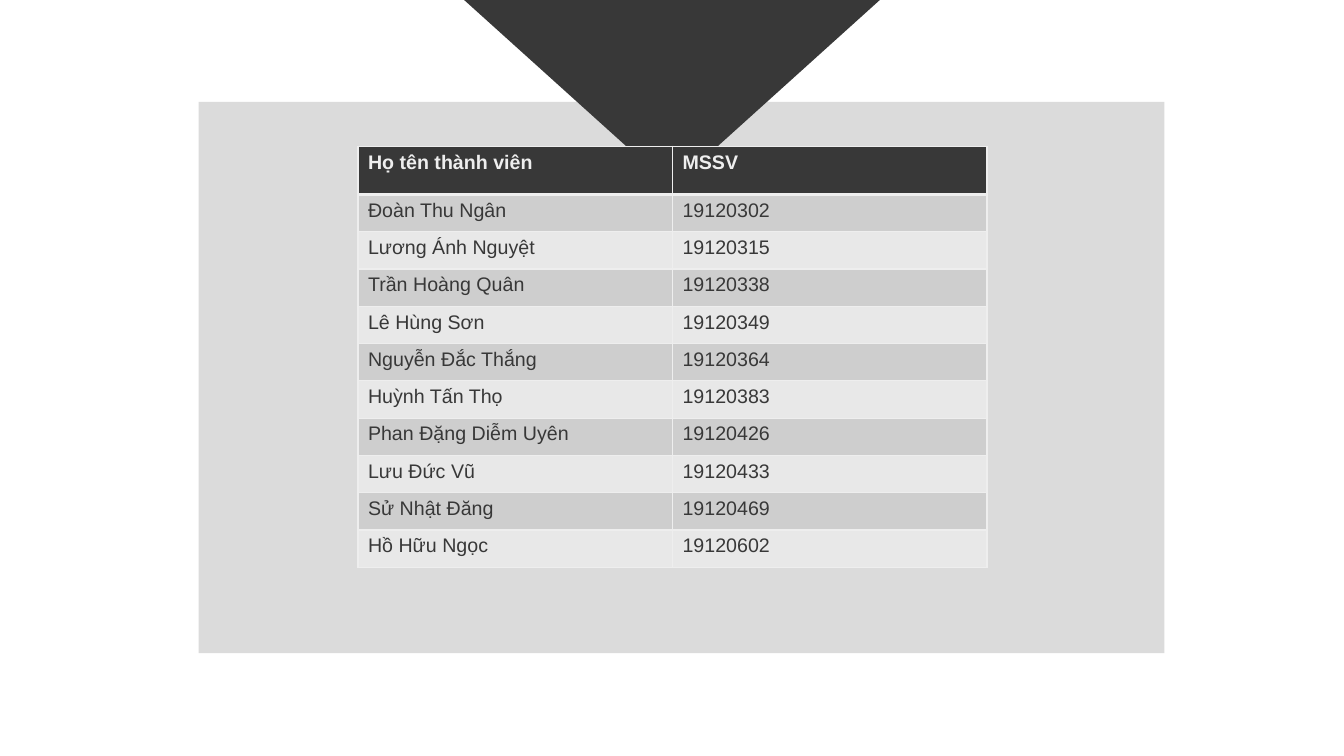
import pptx
import pptx.dml.color
import pptx.enum.shapes
import pptx.oxml
import pptx.oxml.ns
import pptx.util
from pptx.util import Inches

DARK, PANEL, LIGHT = "383838", "DBDBDB", "EEEEEE"
BANDS = ("CECECE", "E8E8E8")
HEADER = ("Họ tên thành viên", "MSSV")
MEMBERS = [
    ("Đoàn Thu Ngân", "19120302"),
    ("Lương Ánh Nguyệt", "19120315"),
    ("Trần Hoàng Quân", "19120338"),
    ("Lê Hùng Sơn", "19120349"),
    ("Nguyễn Đắc Thắng", "19120364"),
    ("Huỳnh Tấn Thọ", "19120383"),
    ("Phan Đặng Diễm Uyên", "19120426"),
    ("Lưu Đức Vũ", "19120433"),
    ("Sử Nhật Đăng", "19120469"),
    ("Hồ Hữu Ngọc", "19120602"),
]


def rgb(color):
    return pptx.dml.color.RGBColor.from_string(color)


def add_block(s, kind, box, color, rotation=0):
    """Add a plain filled shape without outline or shadow."""
    sp = s.shapes.add_shape(kind, *map(Inches, box))
    sp.rotation = rotation
    sp.shadow.inherit = False
    sp.fill.solid()
    sp.fill.fore_color.rgb = rgb(color)
    sp.line.fill.background()


def set_borders(cell, color, **widths):
    """Draw cell borders; widths in points are keyed L, R, T, B, in that order."""
    tc_pr = cell._tc.get_or_add_tcPr()
    for side, width in widths.items():
        tc_pr.append(pptx.oxml.parse_xml(
            f'<a:ln{side} {pptx.oxml.ns.nsdecls("a")} w="{pptx.util.Pt(width)}">'
            f'<a:solidFill><a:srgbClr val="{color}"/></a:solidFill></a:ln{side}>'))


def add_backdrop(s, box):
    left, top, width, height = box
    shapes = pptx.enum.shapes.MSO_SHAPE
    add_block(s, shapes.RECTANGLE, box, PANEL)
    add_block(s, shapes.ISOSCELES_TRIANGLE,
              (left + 2.6, top - 1.04, 4.19, 1.89), DARK, rotation=180)


def add_member_table(s, box, header_height=0.48):
    rows = [HEADER, *MEMBERS]
    table = s.shapes.add_table(len(rows), len(HEADER), *map(Inches, box)).table
    row_height = (box[3] - header_height) / len(MEMBERS)
    for column in table.columns:
        column.width = Inches(box[2] / len(HEADER))
    for i, values in enumerate(rows):
        is_header = i == 0
        table.rows[i].height = Inches(header_height if is_header else row_height)
        for j, value in enumerate(values):
            cell = table.cell(i, j)
            set_borders(cell, LIGHT, L=1, R=1, T=3 if i == 1 else 1,
                        B=3 if is_header else 1)
            cell.fill.solid()
            cell.fill.fore_color.rgb = rgb(DARK if is_header else BANDS[(i - 1) % 2])
            p = cell.text_frame.paragraphs[0]
            p.text = value
            p.font.name = "Arial"
            p.font.size = pptx.util.Pt(14)
            p.font.bold = is_header
            p.font.color.rgb = rgb(LIGHT if is_header else DARK)


def main():
    prs = pptx.Presentation()
    prs.slide_width, prs.slide_height = Inches(13.33), Inches(7.5)
    s = prs.slides.add_slide(prs.slide_layouts[6])
    add_backdrop(s, (1.97, 1.01, 9.58, 5.47))
    add_member_table(s, (3.55, 1.45, 6.24, 4.18))
    prs.save("out.pptx")


if __name__ == "__main__":
    main()
